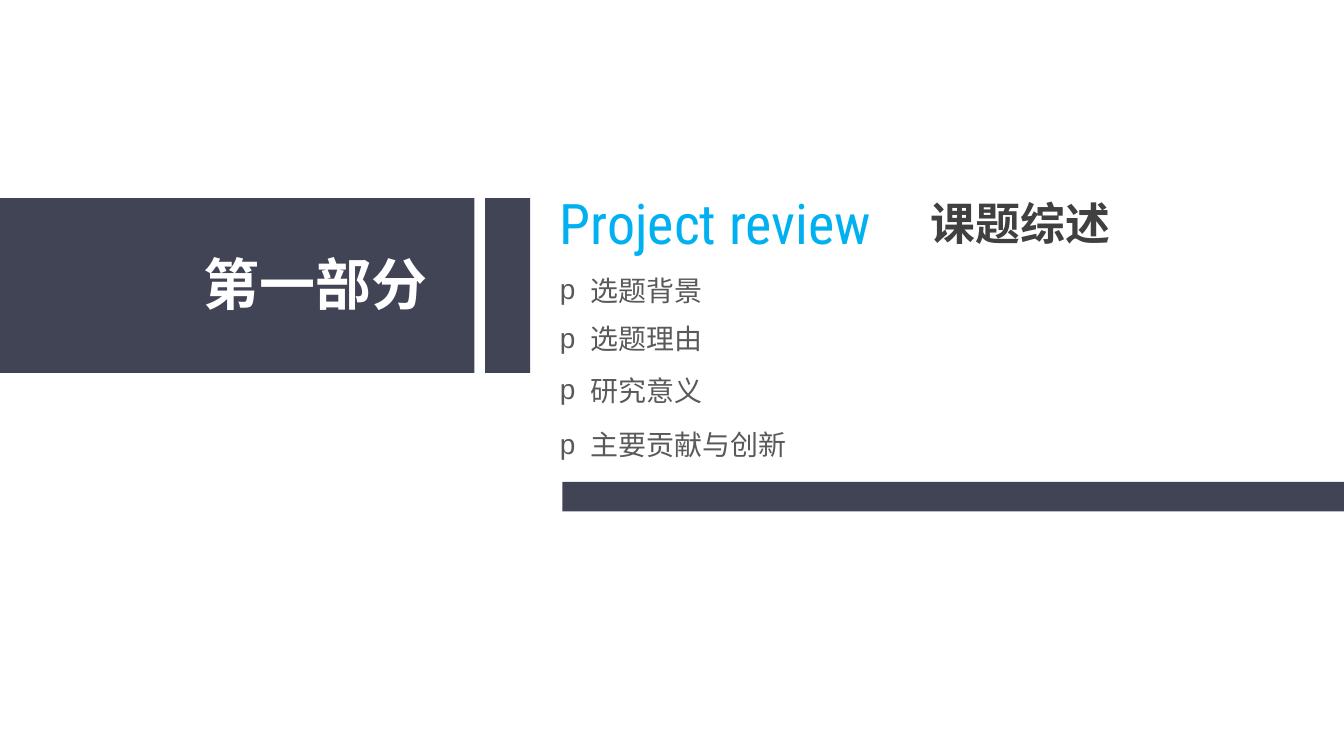
from dataclasses import dataclass

from lxml import etree
from pptx import Presentation
from pptx.dml.color import RGBColor
from pptx.enum.shapes import MSO_SHAPE
from pptx.enum.text import MSO_ANCHOR, MSO_AUTO_SIZE, PP_ALIGN
from pptx.oxml.ns import qn
from pptx.shapes.autoshape import Shape
from pptx.slide import Slide
from pptx.util import Emu, Pt

RECTANGLE = MSO_SHAPE.RECTANGLE
TOP = MSO_ANCHOR.TOP
GROW = MSO_AUTO_SIZE.SHAPE_TO_FIT_TEXT
LEFT = PP_ALIGN.LEFT

EMU_PER_PX = 4572
SLIDE_WIDTH = 2000
SLIDE_HEIGHT = 1125
TITLE_ONLY = 5
INSET = 8
BULLET_INDENT = 46
CJK_FONT = "Noto Sans CJK SC"
LATIN_FONT = "Roboto Condensed"
NAVY = "414455"


@dataclass(frozen=True)
class Box:
    left: int
    top: int
    width: int
    height: int


@dataclass(frozen=True)
class Label:
    text: str
    box: Box
    size: int
    color: str
    font: str = CJK_FONT
    bold: bool = False
    bullet: str = ""


BARS = [
    Box(0, 295, 706, 260),
    Box(722, 295, 67, 260),
    Box(837, 717, 1163, 44),
]

TITLE = Label("课题综述", Box(1377, 283, 284, 106), 24, "404040", bold=True)

HEADINGS = [
    Label("第一部分", Box(295, 364, 352, 132), 30, "FFFFFF", bold=True),
    Label("Project review", Box(825, 272, 510, 116), 30, "00B0F0", LATIN_FONT),
]

TOPICS = [
    Label(text, Box(825, top, width, 74), 15, "595959", bullet="p")
    for text, top, width in [
        ("选题背景", 399, 232),
        ("选题理由", 471, 232),
        ("研究意义", 548, 232),
        ("主要贡献与创新", 629, 356),
    ]
]


def px(length: int) -> Emu:
    return Emu(length * EMU_PER_PX)


def rgb(color: str) -> RGBColor:
    return RGBColor.from_string(color)


def draw_bar(slide: Slide, box: Box) -> None:
    bar = slide.shapes.add_shape(
        RECTANGLE, px(box.left), px(box.top), px(box.width), px(box.height)
    )
    bar.shadow.inherit = False
    bar.fill.solid()
    bar.fill.fore_color.rgb = rgb(NAVY)
    bar.line.fill.background()


def write_label(holder: Shape, label: Label) -> None:
    holder.left, holder.top = px(label.box.left), px(label.box.top)
    holder.width, holder.height = px(label.box.width), px(label.box.height)
    frame = holder.text_frame
    frame.margin_left = frame.margin_right = px(INSET)
    frame.margin_top = frame.margin_bottom = px(INSET)
    frame.vertical_anchor = TOP
    frame.word_wrap = False
    frame.auto_size = GROW

    paragraph = frame.paragraphs[0]
    paragraph.text = label.text
    paragraph.alignment = LEFT
    properties = paragraph._p.get_or_add_pPr()
    if label.bullet:
        properties.set("marL", str(px(BULLET_INDENT)))
        properties.set("indent", str(px(-BULLET_INDENT)))
        etree.SubElement(properties, qn("a:buFont")).set("typeface", "Arial")
        etree.SubElement(properties, qn("a:buChar")).set("char", label.bullet)

    font = paragraph.font
    font.size = Pt(label.size)
    font.bold = label.bold
    font.color.rgb = rgb(label.color)
    font.name = label.font
    defaults = properties.find(qn("a:defRPr"))
    etree.SubElement(defaults, qn("a:ea")).set("typeface", label.font)


def draw_label(slide: Slide, label: Label) -> None:
    write_label(slide.shapes.add_textbox(0, 0, 0, 0), label)


def main() -> None:
    presentation = Presentation()
    presentation.slide_width = px(SLIDE_WIDTH)
    presentation.slide_height = px(SLIDE_HEIGHT)
    slide = presentation.slides.add_slide(presentation.slide_layouts[TITLE_ONLY])
    write_label(slide.shapes.title, TITLE)
    for bar in BARS:
        draw_bar(slide, bar)
    for label in HEADINGS + TOPICS:
        draw_label(slide, label)
    presentation.save("out.pptx")


if __name__ == "__main__":
    main()
